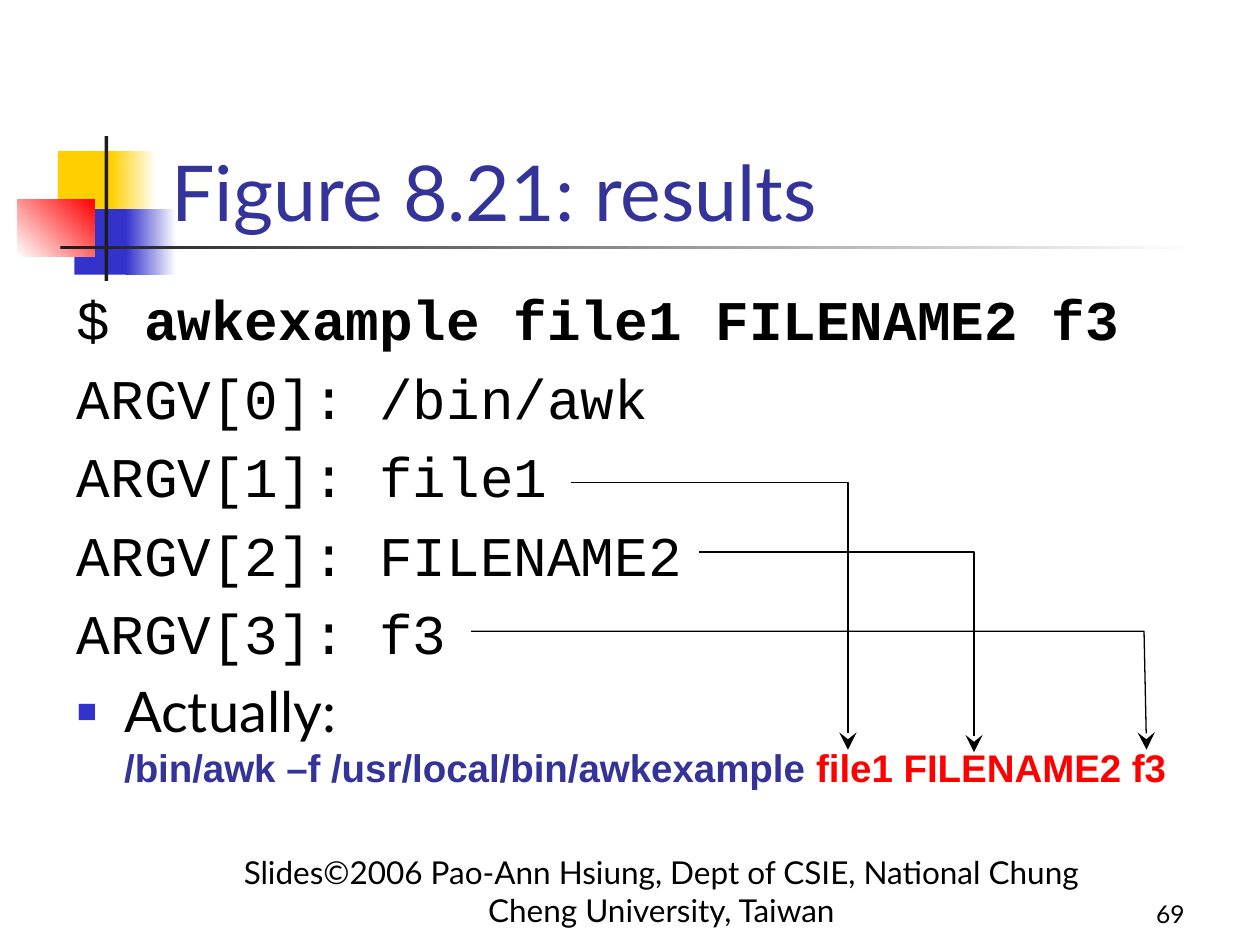
import pptx
import pptx.dml.color
import pptx.enum.shapes
import pptx.enum.text
import pptx.oxml
import pptx.oxml.ns
import pptx.util

COLOURS = {
    "white": "FFFFFF", "black": "000000", "ink": "1C1C1C",
    "yellow": "FFCF01", "blue": "3333CC", "red": "FF0000", "navy": "333399",
}
# The slide is a grid of 100 columns by 75 rows; boxes are (left, top, width, height) in cells.
CELL = pptx.util.Inches(0.1)
PARTS = {
    "emblem": (1.4, 10.8, 93.4, 11.5),
    "title": (12.6, 6.8, 85.2, 12.5),
    "body": (5.1, 22.1, 92.8, 45),
    "footer": (17.7, 69.2, 69.6, 5),
    "number": (74.2, 69.2, 20.8, 5),
}
ALIGN = pptx.enum.text.PP_ALIGN
ANCHOR = pptx.enum.text.MSO_ANCHOR


def cells(*counts):
    return [round(count * CELL) for count in counts]


def colour(name):
    return pptx.dml.color.RGBColor.from_string(COLOURS[name])


def set_font(font, face, size, name, bold=False):
    font.name, font.size, font.bold = face, pptx.util.Pt(size), bold
    font.color.rgb = colour(name)


def put(shape, box):
    shape.left, shape.top, shape.width, shape.height = cells(*box)


def add_xml(parent, *fragments):
    for fragment in fragments:
        tag, rest = fragment.split(" ", 1) if " " in fragment else (fragment, "")
        namespace = pptx.oxml.ns.nsdecls("a")
        parent.append(pptx.oxml.parse_xml(f"<a:{tag} {namespace} {rest}/>"))


def add_emblem(page, box):
    """Coloured blocks and the two rules beside the title."""
    left, top, width, _ = box
    blocks = [  # offset from the box, size, colours from start to end, angle
        (3.2, 1.2, 4.8, 5.2, ["yellow"], 0),
        (7.4, 1.2, 3.6, 5.2, ["yellow", "white"], 0),
        (4.5, 5.8, 4.6, 5.2, ["blue"], 0),
        (8.6, 5.8, 4, 5.2, ["blue", "white"], 0),
        (0, 5, 6.1, 4.6, ["white", "red"], 45),
        (6.9, 0, 0.3, 11.5, ["ink"], 0),
        (3.4, 8.7, width - 3.4, 0.3, ["ink", "white"], 0),
    ]
    for across, down, wide, high, shades, angle in blocks:
        block = page.shapes.add_shape(
            pptx.enum.shapes.MSO_SHAPE.RECTANGLE,
            *cells(left + across, top + down, wide, high))
        block.shadow.inherit = False
        block.line.fill.background()
        if len(shades) == 1:
            block.fill.solid()
            block.fill.fore_color.rgb = colour(shades[0])
        else:
            block.fill.gradient()
            block.fill.gradient_angle = angle
            for stop, shade in zip(block.fill.gradient_stops, shades):
                stop.color.rgb = colour(shade)


def bring_forward(shape):
    shape._element.getparent().append(shape._element)


def fill_title(page, box):
    title = page.shapes.title
    put(title, box)
    bring_forward(title)
    frame = title.text_frame
    frame.text = "Figure 8.21: results"
    frame.auto_size = pptx.enum.text.MSO_AUTO_SIZE.NONE
    frame.vertical_anchor = ANCHOR.BOTTOM
    para = frame.paragraphs[0]
    para.alignment = ALIGN.LEFT
    set_font(para.font, "Lato", 44, "navy")


def add_span(para, text, *style):
    span = para.add_run()
    span.text = text
    set_font(span.font, *style)


def fill_body(page, box):
    """Program output, then the command that is really run."""
    body = page.placeholders[1]
    put(body, box)
    bring_forward(body)
    frame = body.text_frame
    frame.auto_size = pptx.enum.text.MSO_AUTO_SIZE.NONE

    command = frame.paragraphs[0]
    add_xml(command._p.get_or_add_pPr(), "buNone")
    add_span(command, "$ ", "Courier New", 32, "black")
    add_span(command, "awkexample file1 FILENAME2 f3", "Courier New", 32, "black", True)

    for index, value in enumerate(["/bin/awk", "file1", "FILENAME2", "f3"]):
        para = frame.add_paragraph()
        add_xml(para._p.get_or_add_pPr(), "buNone")
        add_span(para, f"ARGV[{index}]: {value}", "Courier New", 32, "black")

    actual = frame.add_paragraph()
    properties = actual._p.get_or_add_pPr()
    add_xml(properties, "buClr", 'buSzPct val="60000"',
            'buFont typeface="Arial"', 'buChar char="■"')
    add_xml(properties.find(pptx.oxml.ns.qn("a:buClr")), f'srgbClr val="{COLOURS["blue"]}"')
    add_span(actual, "Actually: ", "Lato", 32, "black")
    actual.add_line_break()
    add_span(actual, "/bin/awk –f /usr/local/bin/awkexample ", "Arial", 22, "navy", True)
    add_span(actual, "file1 FILENAME2 f3", "Arial", 22, "red", True)


def add_arrows(page, box):
    """Bent arrows from each ARGV value to its place in the real command."""
    left, top = box[:2]
    arrows = [  # start column and row, corner column, tip column and row
        (50.4, 21.7, 72.2, 72.2, 37.6),
        (40.2, 16.2, 62.2, 62.2, 37.4),
        (32.3, 28, 85.7, 85.9, 37.4),
    ]
    for start, row, corner, tip, end in arrows:
        builder = page.shapes.build_freeform(*cells(left + start, top + row))
        builder.add_line_segments(
            [cells(left + corner, top + row), cells(left + tip, top + end)], close=False)
        arrow = builder.convert_to_shape()
        arrow.shadow.inherit = False
        arrow.fill.background()
        arrow.line.color.rgb = colour("black")
        arrow.line.width = pptx.util.Pt(0.75)
        add_xml(arrow.line._get_or_add_ln(), 'tailEnd type="stealth" w="lg" len="lg"')


def add_note(page, box, text, size, alignment):
    note = page.shapes.add_textbox(*cells(*box))
    frame = note.text_frame
    frame.word_wrap = True
    frame.vertical_anchor = ANCHOR.BOTTOM
    frame.text = text
    para = frame.paragraphs[0]
    para.alignment = alignment
    set_font(para.font, "Lato", size, "black")


def main():
    deck = pptx.Presentation()
    deck.slide_width, deck.slide_height = cells(100, 75)
    page = deck.slides.add_slide(deck.slide_layouts[1])
    add_emblem(page, PARTS["emblem"])
    add_note(page, PARTS["footer"],
             "Slides©2006 Pao-Ann Hsiung, Dept of CSIE, National Chung Cheng University, Taiwan",
             18, ALIGN.CENTER)
    add_note(page, PARTS["number"], "69", 14, ALIGN.RIGHT)
    fill_title(page, PARTS["title"])
    fill_body(page, PARTS["body"])
    add_arrows(page, PARTS["body"])
    deck.save("out.pptx")


if __name__ == "__main__":
    main()
